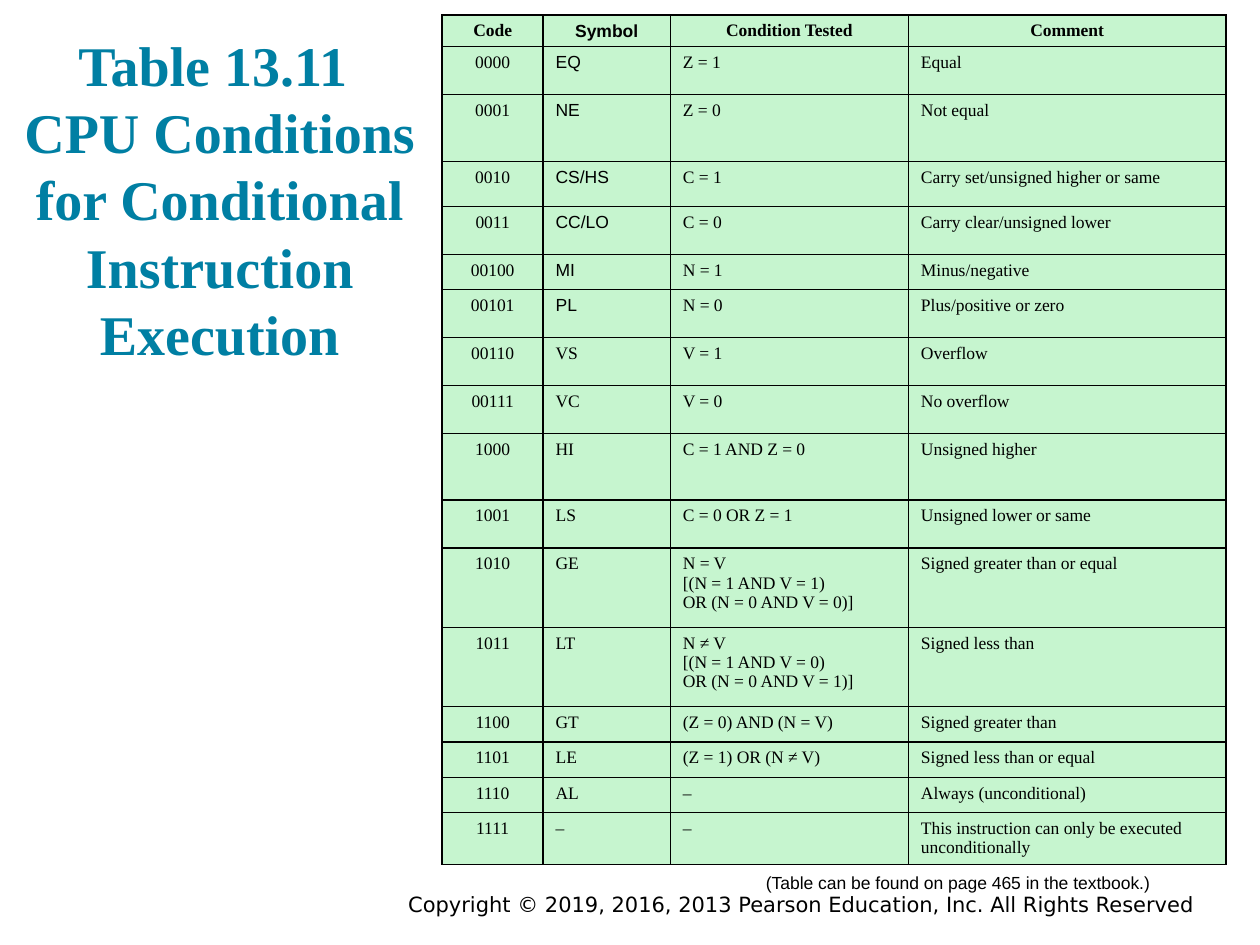
from lxml import etree
from pptx import Presentation
from pptx import util as u
from pptx.dml.color import RGBColor
from pptx.enum import text
from pptx.oxml.ns import qn

COLORS = {"title": "007FA3", "ink": "000000", "cell": "C6F5CF"}
SERIF, SANS, FOOT = "Times New Roman", "Arial", "DejaVu Sans"
ALIGN = text.PP_ALIGN

COLS = [0.8, 1.01, 1.89, 2.52]
LOW, MID, TALL, FULL = 0.28, 0.38, 0.53, 0.63
HEIGHTS = [0.25, MID, TALL, 0.36, MID, LOW, MID, MID, MID, TALL, MID,
           FULL, FULL, LOW, LOW, LOW, 0.4]
SANS_ROWS = 7  # the heading and the first six codes set their symbol in sans
ROWS = [
    ("Code", "Symbol", "Condition Tested", "Comment"),
    ("0000", "EQ", "Z = 1", "Equal"),
    ("0001", "NE", "Z = 0", "Not equal"),
    ("0010", "CS/HS", "C = 1", "Carry set/unsigned higher or same"),
    ("0011", "CC/LO", "C = 0", "Carry clear/unsigned lower"),
    ("00100", "MI", "N = 1", "Minus/negative"),
    ("00101", "PL", "N = 0", "Plus/positive or zero"),
    ("00110", "VS", "V = 1", "Overflow"),
    ("00111", "VC", "V = 0", "No overflow"),
    ("1000", "HI", "C = 1 AND Z = 0", "Unsigned higher"),
    ("1001", "LS", "C = 0 OR Z = 1", "Unsigned lower or same"),
    ("1010", "GE", "N = V\n[(N = 1 AND V = 1)\nOR (N = 0 AND V = 0)]",
     "Signed greater than or equal"),
    ("1011", "LT", "N ≠ V\n[(N = 1 AND V = 0)\nOR (N = 0 AND V = 1)]",
     "Signed less than"),
    ("1100", "GT", "(Z = 0) AND (N = V)", "Signed greater than"),
    ("1101", "LE", "(Z = 1) OR (N ≠ V)", "Signed less than or equal"),
    ("1110", "AL", "–", "Always (unconditional)"),
    ("1111", "–", "–", "This instruction can only be executed\nunconditionally"),
]


def color(name):
    return RGBColor.from_string(COLORS[name])


def write(frame, words, size, font, ink="ink", bold=False, align=ALIGN.LEFT):
    frame.text = words
    for para in frame.paragraphs:
        para.alignment = align
        for run in para.runs:
            run.font.size = u.Pt(size)
            run.font.name = font
            run.font.bold = bold
            run.font.color.rgb = color(ink)


def place(shape, left, top, width, height):
    shape.left, shape.top = u.Inches(left), u.Inches(top)
    shape.width, shape.height = u.Inches(width), u.Inches(height)


def add_title(slide):
    title = slide.shapes.title
    place(title, 0.01, 0.13, 3.47, 2.83)
    frame = title.text_frame
    frame.word_wrap = True
    frame.auto_size = text.MSO_AUTO_SIZE.NONE
    frame.vertical_anchor = text.MSO_ANCHOR.BOTTOM
    write(frame, "Table 13.11 \vCPU Conditions for Conditional Instruction Execution",
          32, SERIF, "title", True, ALIGN.CENTER)
    for brk in frame.paragraphs[0]._p.findall(qn("a:br")):
        etree.SubElement(brk, qn("a:rPr"), sz="3200")


def add_note(slide, box, words, size, font, align=ALIGN.LEFT):
    note = slide.shapes.add_textbox(*(u.Inches(n) for n in box))
    note.text_frame.word_wrap = True
    write(note.text_frame, words, size, font, align=align)


def add_borders(cell):
    props = cell._tc.get_or_add_tcPr()
    for side in "LRTB":
        line = etree.SubElement(props, qn(f"a:ln{side}"), w=str(u.Pt(1)))
        fill = etree.SubElement(line, qn("a:solidFill"))
        etree.SubElement(fill, qn("a:srgbClr"), val=COLORS["ink"])


def add_grid(slide):
    frame = slide.shapes.add_table(
        len(ROWS), len(COLS), u.Inches(3.51), u.Inches(0.12),
        u.Inches(sum(COLS)), u.Inches(sum(HEIGHTS)))
    table = frame.table
    for col, width in zip(table.columns, COLS):
        col.width = u.Inches(width)
    for r, (row, height) in enumerate(zip(ROWS, HEIGHTS)):
        table.rows[r].height = u.Inches(height)
        for c, words in enumerate(row):
            cell = table.cell(r, c)
            font = SANS if c == 1 and r < SANS_ROWS else SERIF
            align = ALIGN.CENTER if r == 0 or c == 0 else ALIGN.LEFT
            write(cell.text_frame, words, 10, font, bold=r == 0, align=align)
            cell.margin_bottom = u.Inches(0.03)
            add_borders(cell)
            cell.fill.solid()
            cell.fill.fore_color.rgb = color("cell")


def main():
    deck = Presentation()
    deck.slide_width, deck.slide_height = u.Inches(10), u.Inches(7.5)
    slide = deck.slides.add_slide(deck.slide_layouts[5])
    add_note(slide, (1.75, 7.03, 7.83, 0.22),
             "Copyright © 2019, 2016, 2013 Pearson Education, Inc. All Rights Reserved",
             12, FOOT, ALIGN.RIGHT)
    add_title(slide)
    add_grid(slide)
    add_note(slide, (5.98, 6.87, 3.58, 0.27),
             "(Table can be found on page 465 in the textbook.)", 10, SANS)
    deck.save("out.pptx")


if __name__ == "__main__":
    main()
